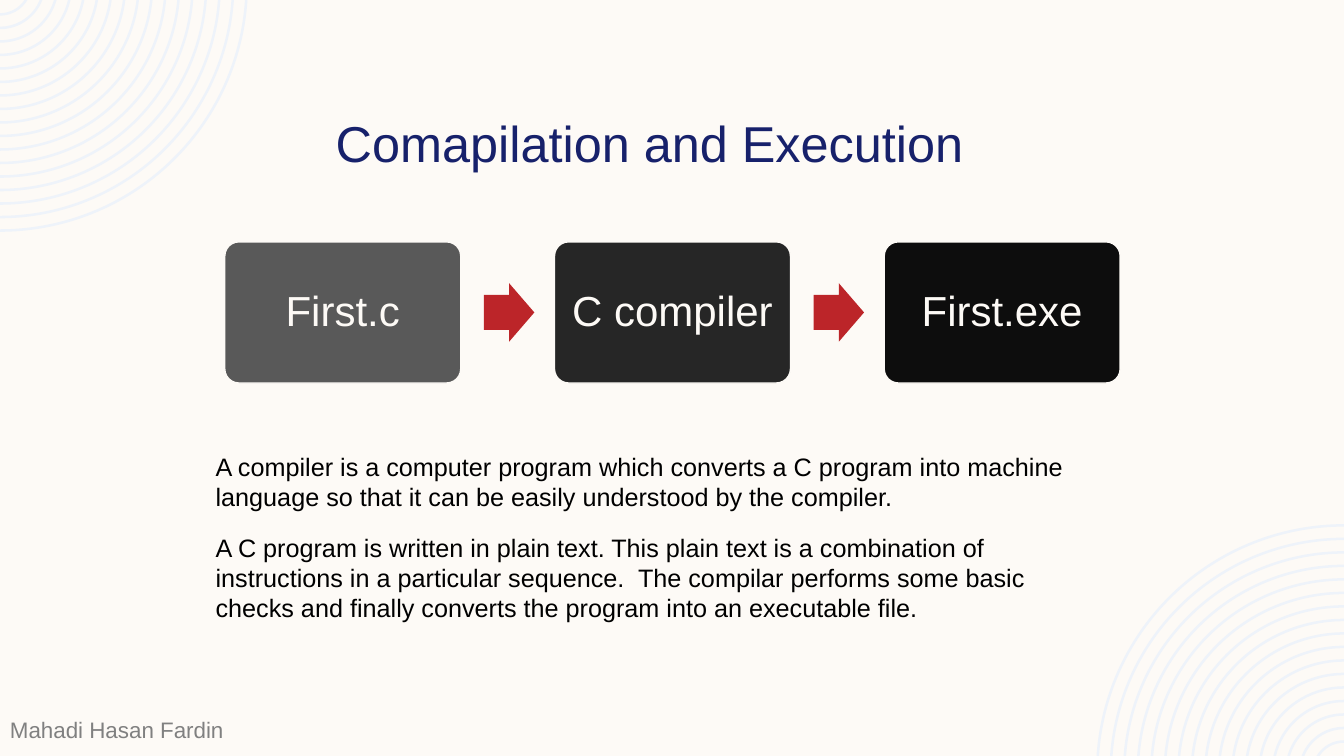
from math import asin, cos, degrees

from lxml import etree
from pptx import Presentation
from pptx.dml.color import RGBColor
from pptx.enum.shapes import MSO_SHAPE
from pptx.enum.text import MSO_ANCHOR, PP_ALIGN
from pptx.oxml.ns import qn
from pptx.util import Inches, Pt

CARD, ARROW = MSO_SHAPE.ROUNDED_RECTANGLE, MSO_SHAPE.RIGHT_ARROW
TOP, MIDDLE = MSO_ANCHOR.TOP, MSO_ANCHOR.MIDDLE
LEFT, CENTER = PP_ALIGN.LEFT, PP_ALIGN.CENTER

TITLE = "Comapilation and Execution"
STEPS = [("First.c", "595959"), ("C compiler", "262626"), ("First.exe", "0D0D0D")]
NOTES = [
    ("A compiler is a computer program which converts a C program into machine "
     "language so that it can be easily understood by the compiler.",
     (2.04, 4.43, 9.07, 0.71)),
    ("A C program is written in plain text. This plain text is a combination of "
     "instructions in a particular sequence.  The compilar performs some basic "
     "checks and finally converts the program into an executable file.",
     (2.04, 5.23, 8.41, 1.01)),
]
AUTHOR = "Mahadi Hasan Fardin"

THEME = {
    "font": "Arial", "paper": "FDFAF6", "rings": "EEF3FA", "arrow": "BC2529",
    "title": {"size": 36, "color": "17216B"},
    "step": {"size": 30, "color": "FDFAF6"},
    "note": {"size": 18, "color": "000000"},
    "author": {"size": 16, "color": "808080"},
}

WIDTH, HEIGHT = 13.33, 7.5
TITLE_AREA = (3.23, 1.06, 6.87, 0.71)
AUTHOR_AREA = (0, 7.06, WIDTH / 2, 0.37)
FLOW_LEFT, FLOW_TOP, STEP_PITCH = 2.23, 2.4, 3.27
CARD_WIDTH, CARD_HEIGHT = 2.34, 1.4
ARROW_OFFSET, ARROW_WIDTH, ARROW_HEIGHT = 2.57, 0.5, 0.58
RING_COUNT, RING_RADIUS, RING_PITCH, RING_WIDTH = 17, 2.46, 0.134, 0.025
RING_CENTER_ABOVE = 0.16
ANGLE_UNIT = 60000


def color(code):
    return RGBColor.from_string(code)


def inches(area):
    return [Inches(length) for length in area]


def write(shape, text, style, align=LEFT, anchor=TOP, spacing=1.0, margins=None):
    frame = shape.text_frame
    frame_format = {"word_wrap": True, "vertical_anchor": anchor, **(margins or {})}
    for name, value in frame_format.items():
        setattr(frame, name, value)
    para = frame.paragraphs[0]
    para.alignment, para.line_spacing = align, spacing
    span = para.add_run()
    span.text = text
    font_format = {"name": THEME["font"], "size": Pt(THEME[style]["size"]), "bold": False}
    for name, value in font_format.items():
        setattr(span.font, name, value)
    span.font.color.rgb = color(THEME[style]["color"])


def paint(shape, fill, line=None):
    shape.shadow.inherit = False
    shape.fill.solid()
    shape.fill.fore_color.rgb = color(fill)
    if line:
        shape.line.color.rgb = color(line)
        shape.line.width = Pt(1)
    else:
        shape.line.fill.background()


def bend(segment, radius, start, swing):
    """Replace a straight freeform segment by a circular arc."""
    arc = etree.Element(qn("a:arcTo"))
    size = str(Inches(radius))
    values = {"wR": size, "hR": size, "stAng": str(round(start * ANGLE_UNIT)),
              "swAng": str(round(swing * ANGLE_UNIT))}
    for name, value in values.items():
        arc.set(name, value)
    segment.getparent().replace(segment, arc)


def add_rings(page, opposite):
    """Draw the corner rings at top left, or turned half round at bottom right."""
    turn = 180 if opposite else 0
    builder, arcs = None, []
    for index in range(RING_COUNT):
        outer = RING_RADIUS - index * RING_PITCH
        inner = outer - RING_WIDTH
        outer_start, inner_start = (asin(RING_CENTER_ABOVE / radius)
                                    for radius in (outer, inner))
        points = [(outer * cos(outer_start), 0), (0, outer - RING_CENTER_ABOVE),
                  (0, inner - RING_CENTER_ABOVE), (inner * cos(inner_start), 0)]
        if opposite:
            points = [(WIDTH - x, HEIGHT - y) for x, y in points]
        points = [inches(point) for point in points]
        if builder is None:
            builder = page.shapes.build_freeform(*points[0], scale=1.0)
        else:
            builder.move_to(*points[0])
        builder.add_line_segments(points[1:], close=True)
        outer_angle, inner_angle = degrees(outer_start), degrees(inner_start)
        arcs += [(outer, turn + outer_angle, 90 - outer_angle), None,
                 (inner, turn + 90, inner_angle - 90)]
    rings = builder.convert_to_shape()
    paint(rings, THEME["rings"])
    segments = list(rings.element.iter(qn("a:lnTo")))
    for segment, arc in zip(segments, arcs):
        if arc:
            bend(segment, *arc)


def add_preset(page, kind, area, adjustments, fill, line=None):
    shape = page.shapes.add_shape(kind, *inches(area))
    for index, value in enumerate(adjustments):
        shape.adjustments[index] = value
    paint(shape, fill, line)
    return shape


def add_flow(page):
    margins = {f"margin_{side}": Inches(0.05) for side in ("left", "right", "top", "bottom")}
    arrow_top = FLOW_TOP + (CARD_HEIGHT - ARROW_HEIGHT) / 2
    for index, (label, fill) in enumerate(STEPS):
        left = FLOW_LEFT + index * STEP_PITCH
        card = add_preset(page, CARD, (left, FLOW_TOP, CARD_WIDTH, CARD_HEIGHT),
                          [0.1], fill, THEME["paper"])
        write(card, label, "step", CENTER, MIDDLE, 0.9, margins)
        if index < len(STEPS) - 1:
            area = (left + ARROW_OFFSET, arrow_top, ARROW_WIDTH, ARROW_HEIGHT)
            add_preset(page, ARROW, area, [0.6, 0.5], THEME["arrow"])


def main():
    deck = Presentation()
    deck.slide_width, deck.slide_height = inches((WIDTH, HEIGHT))
    page = deck.slides.add_slide(deck.slide_layouts[5])
    page.background.fill.solid()
    page.background.fill.fore_color.rgb = color(THEME["paper"])
    for opposite in (False, True):
        add_rings(page, opposite)

    title = page.shapes.title
    title.left, title.top, title.width, title.height = inches(TITLE_AREA)
    write(title, TITLE, "title")
    add_flow(page)
    texts = [(text, area, "note") for text, area in NOTES]
    for text, area, style in texts + [(AUTHOR, AUTHOR_AREA, "author")]:
        write(page.shapes.add_textbox(*inches(area)), text, style)
    deck.save("out.pptx")


if __name__ == "__main__":
    main()
